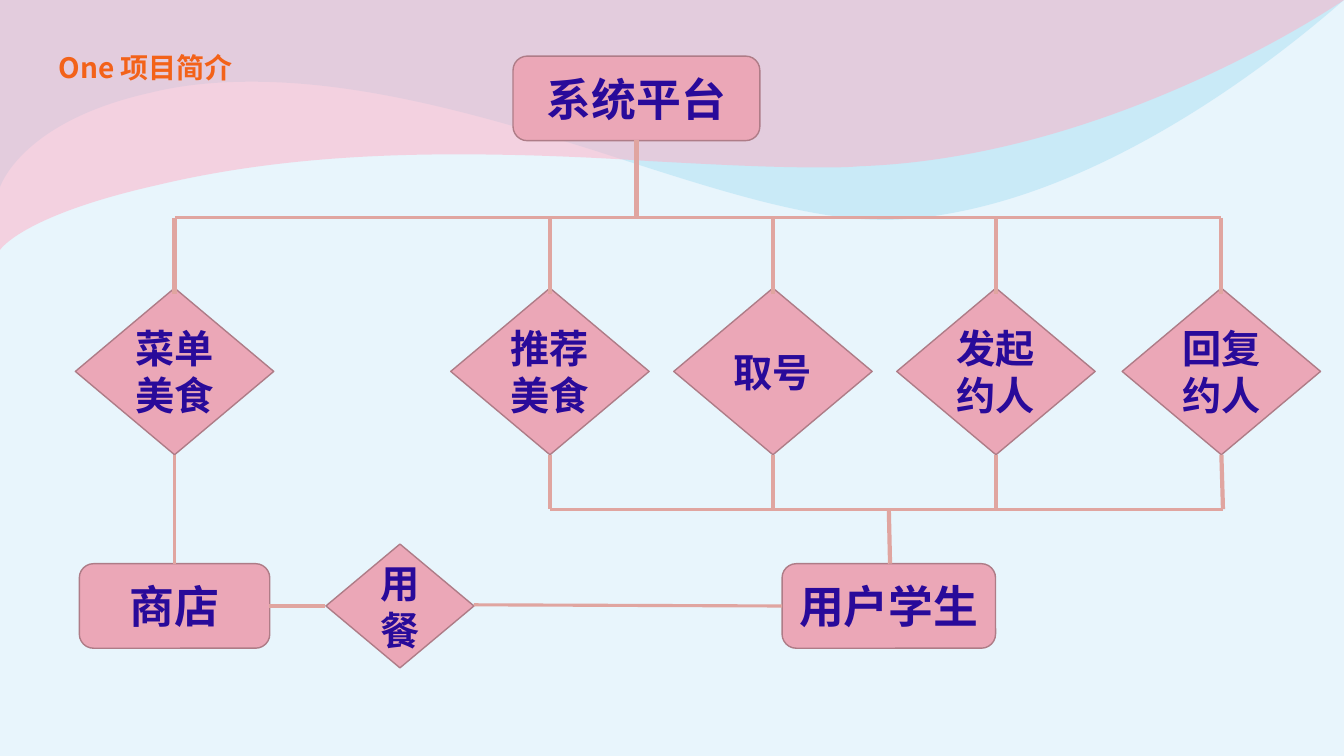
from lxml import etree
from pptx import Presentation
from pptx.dml.color import RGBColor
from pptx.enum.shapes import MSO_CONNECTOR, MSO_SHAPE
from pptx.enum.text import MSO_ANCHOR, MSO_AUTO_SIZE, PP_ALIGN
from pptx.oxml.ns import qn
from pptx.util import Cm, Pt

DIAMOND = MSO_SHAPE.DIAMOND
RECTANGLE = MSO_SHAPE.RECTANGLE
ROUNDED = MSO_SHAPE.ROUNDED_RECTANGLE
STRAIGHT = MSO_CONNECTOR.STRAIGHT
LEFT, CENTER = PP_ALIGN.LEFT, PP_ALIGN.CENTER
TOP, MIDDLE = MSO_ANCHOR.TOP, MSO_ANCHOR.MIDDLE
NO_AUTOFIT = MSO_AUTO_SIZE.NONE

FONT = "Noto Sans CJK SC"
COLORS = {
    "page": "E8F5FC",
    "blue_wave": "ACE0F4",
    "pink_wave": "FEAFC5",
    "title": "F36219",
    "node": "EBA7B7",
    "border": "AE7C87",
    "label": "290A9A",
    "link": "E0A5A0",
}
PAGE_WIDTH, PAGE_HEIGHT = 33.87, 19.05

# Bezier segments in cm, from the left edge to the top right corner
BLUE_START, PINK_START = (0, 4.72), (0, 6.3)
BLUE_CURVES = [
    (BLUE_START, (0.51, 3.07), (3.78, 2.34)),
    ((4.62, 2.13), (5.49, 2.06), (6.35, 2.06)),
    ((9.19, 2.06), (12.17, 2.92), (14.94, 3.78)),
    ((17.7, 4.67), (20.27, 5.54), (22.25, 5.54)),
    ((22.33, 5.54), (22.4, 5.54), (22.48, 5.54)),
    ((27.13, 5.36), (31.78, 1.83), (PAGE_WIDTH, 0)),
]
PINK_CURVES = [
    (PINK_START, (0.53, 5.44), (3.94, 4.67)),
    ((6.5, 4.06), (9.07, 3.89), (11.53, 3.89)),
    ((13.21, 3.89), (14.83, 3.96), (16.36, 4.06)),
    ((17.88, 4.14), (19.33, 4.22), (20.65, 4.22)),
    ((21.01, 4.22), (21.34, 4.22), (21.67, 4.19)),
    ((28.12, 3.96), (PAGE_WIDTH, 0), (PAGE_WIDTH, 0)),
]

# Centre of each function diamond and its label
FUNCTIONS = {
    4.4: "菜单美食",
    13.86: "推荐美食",
    19.48: "取号",
    25.1: "发起约人",
    30.78: "回复约人",
}
SYSTEM_X, SHOP_X, MEAL_X, USER_X = 16.04, 4.4, 10.08, 22.4
TOP_BUS, LOWER_BUS, BOTTOM_ROW = 5.49, 12.83, 15.27
FUNCTION_TOP, FUNCTION_HEIGHT = 7.26, 4.2
BOX_HEIGHT = 2.13
THIN, THICK = 2.25, 3


def color(name):
    return RGBColor.from_string(COLORS[name])


def paint(shape, color_name):
    shape.shadow.inherit = False
    shape.fill.solid()
    shape.fill.fore_color.rgb = color(color_name)


def write_text(box, text, size, color_name, align, anchor):
    frame = box.text_frame
    settings = {"word_wrap": True, "auto_size": NO_AUTOFIT, "vertical_anchor": anchor}
    for key, value in settings.items():
        setattr(frame, key, value)
    para = frame.paragraphs[0]
    para.alignment = align
    span = para.add_run()
    span.text = text
    span.font.color.rgb = color(color_name)
    for key, value in {"name": FONT, "size": Pt(size), "bold": True}.items():
        setattr(span.font, key, value)
    for properties in box.element.iter(qn("a:rPr")):
        etree.SubElement(properties, qn("a:ea")).set("typeface", FONT)


def add_backdrop(page):
    backdrop = page.shapes.add_shape(RECTANGLE, 0, 0, Cm(PAGE_WIDTH), Cm(PAGE_HEIGHT))
    paint(backdrop, "page")
    backdrop.line.fill.background()


def add_wave(page, start, curves, color_name):
    builder = page.shapes.build_freeform(Cm(PAGE_WIDTH), 0)
    corners = [(0, 0), start] + [curve[-1] for curve in curves]
    builder.add_line_segments([(Cm(x), Cm(y)) for x, y in corners], close=True)
    wave = builder.convert_to_shape()
    paint(wave, color_name)
    wave.line.fill.background()
    tone = wave.element.spPr.find(qn("a:solidFill"))[0]
    etree.SubElement(tone, qn("a:alpha")).set("val", "50000")

    # Bend the segments after the left edge into Bezier curves
    segments = list(wave.element.iter(qn("a:lnTo")))[2:]
    for segment, curve in zip(segments, curves):
        segment_curve = etree.Element(qn("a:cubicBezTo"))
        for x, y in curve:
            point = etree.SubElement(segment_curve, qn("a:pt"))
            point.set("x", str(Cm(x)))
            point.set("y", str(Cm(y)))
        segment.getparent().replace(segment, segment_curve)


def add_title(page, text):
    title = page.shapes.title
    place = {"left": 1.22, "top": 1.14, "width": 5.05, "height": 1.12}
    for key, value in place.items():
        setattr(title, key, Cm(value))
    write_text(title, text, 20, "title", LEFT, TOP)


def add_node(page, kind, text, center_x, center_y, width, height, size):
    node = page.shapes.add_shape(
        kind, Cm(center_x - width / 2), Cm(center_y - height / 2), Cm(width), Cm(height))
    paint(node, "node")
    node.line.color.rgb = color("border")
    node.line.width = Pt(1)
    write_text(node, text, size, "label", CENTER, MIDDLE)


def add_link(page, start, end, width):
    link = page.shapes.add_connector(STRAIGHT, *map(Cm, start + end))
    link.line.color.rgb = color("link")
    link.line.width = Pt(width)
    etree.SubElement(link.element.spPr, qn("a:effectLst"))


def add_nodes(page):
    add_node(page, ROUNDED, "系统平台", SYSTEM_X, 2.48, 6.22, BOX_HEIGHT, 32)
    for center, label in FUNCTIONS.items():
        add_node(page, DIAMOND, label, center, FUNCTION_TOP + FUNCTION_HEIGHT / 2,
                 5, FUNCTION_HEIGHT, 28)
    add_node(page, ROUNDED, "商店", SHOP_X, BOTTOM_ROW, 4.8, BOX_HEIGHT, 32)
    add_node(page, DIAMOND, "用餐", MEAL_X, BOTTOM_ROW, 3.73, 3.12, 28)
    add_node(page, ROUNDED, "用户学生", USER_X, BOTTOM_ROW, 5.38, BOX_HEIGHT, 32)


def add_links(page):
    centers = list(FUNCTIONS)
    function_bottom = FUNCTION_TOP + FUNCTION_HEIGHT
    box_top = BOTTOM_ROW - BOX_HEIGHT / 2
    bus_end = 30.82

    # System platform down to every function
    add_link(page, (SYSTEM_X, 3.54), (SYSTEM_X, TOP_BUS), THICK)
    add_link(page, (centers[-1], TOP_BUS), (centers[0], TOP_BUS), THIN)
    for center in centers:
        add_link(page, (center, TOP_BUS), (center, 7.42), THICK)

    # Functions down to the shop and the student users
    add_link(page, (SHOP_X, function_bottom), (SHOP_X, box_top), THIN)
    add_link(page, (bus_end, LOWER_BUS), (centers[1], LOWER_BUS), THIN)
    for center, foot in zip(centers[1:], centers[1:-1] + [bus_end]):
        add_link(page, (center, function_bottom), (foot, LOWER_BUS), THICK)
    add_link(page, (USER_X, LOWER_BUS), (22.43, box_top), THICK)

    # Shop, meal and student users in the bottom row
    add_link(page, (6.78, BOTTOM_ROW), (8.2, BOTTOM_ROW), THIN)
    add_link(page, (19.71, BOTTOM_ROW), (11.94, 15.24), THIN)


def main():
    deck = Presentation()
    deck.slide_width, deck.slide_height = Cm(PAGE_WIDTH), Cm(PAGE_HEIGHT)
    page = deck.slides.add_slide(deck.slide_layouts.get_by_name("Title Only"))

    # Backdrop
    add_backdrop(page)
    add_wave(page, BLUE_START, BLUE_CURVES, "blue_wave")
    add_wave(page, PINK_START, PINK_CURVES, "pink_wave")

    # Title, brought in front of the waves
    add_title(page, "One 项目简介")
    page.shapes.element.append(page.shapes.title.element)

    # Diagram
    add_nodes(page)
    add_links(page)
    deck.save("out.pptx")


if __name__ == "__main__":
    main()
